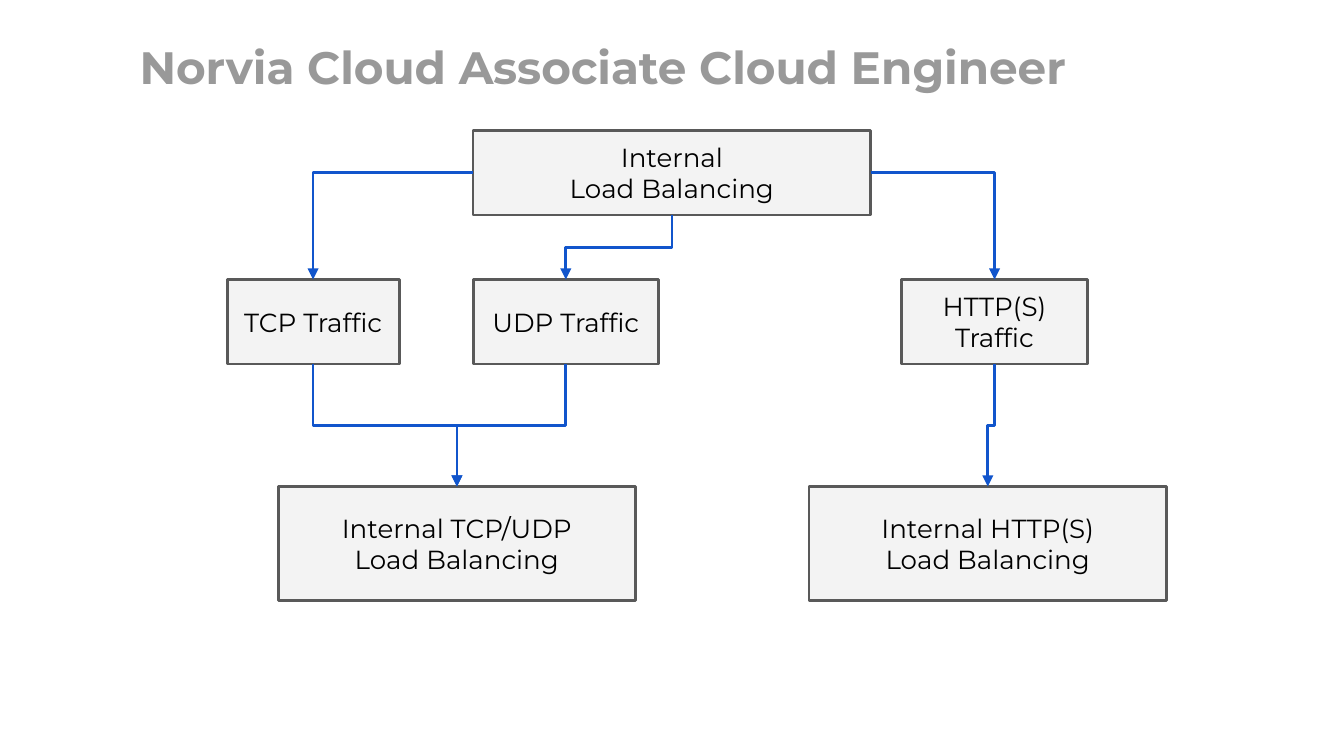
from dataclasses import dataclass

from lxml.etree import SubElement
from pptx import Presentation
from pptx.dml.color import RGBColor
from pptx.enum.shapes import MSO_CONNECTOR, MSO_SHAPE
from pptx.enum.text import MSO_ANCHOR, PP_ALIGN
from pptx.oxml.ns import qn
from pptx.util import Inches, Pt


@dataclass(frozen=True)
class Theme:
    font: str = "Montserrat"
    title_size: Pt = Pt(24.3)
    box_size: Pt = Pt(14)
    line_width: Pt = Pt(1.5)
    title: RGBColor = RGBColor(0x99, 0x99, 0x99)
    text: RGBColor = RGBColor(0, 0, 0)
    box_fill: RGBColor = RGBColor(0xF3, 0xF3, 0xF3)
    box_line: RGBColor = RGBColor(0x59, 0x59, 0x59)
    arrow: RGBColor = RGBColor(0x11, 0x55, 0xCC)


THEME = Theme()
TOP, LEFT, BOTTOM, RIGHT = range(4)  # connection sites of a rectangle


def write(shape, lines, size, color, align, anchor, bold=False):
    frame = shape.text_frame
    frame.word_wrap = True
    frame.vertical_anchor = anchor
    frame.margin_left = frame.margin_right = Inches(0.1)
    frame.margin_top = frame.margin_bottom = Inches(0.1)
    frame.text = lines
    for paragraph in frame.paragraphs:
        paragraph.alignment = align
        paragraph.font.name = THEME.font
        paragraph.font.size = size
        paragraph.font.bold = bold
        paragraph.font.color.rgb = color


def add_arrow(source, site, target):
    """Run an elbow arrow from a site of source to the top centre of target."""
    arrow = slide.shapes.add_connector(MSO_CONNECTOR.ELBOW, 0, 0, 0, 0)
    arrow.begin_connect(source, site)
    arrow.end_connect(target, TOP)
    start_x, start_y = arrow.begin_x, arrow.begin_y
    end_x, end_y = arrow.end_x, arrow.end_y
    across, down = abs(end_x - start_x), end_y - start_y

    properties = arrow._element.spPr
    transform = properties.find(qn("a:xfrm"))
    if site == BOTTOM:
        # Going down first means a sideways elbow turned about its centre.
        width, height = down, across
        rotation, flip = (90, False) if end_x < start_x else (270, True)
    else:
        width, height = across, down
        rotation, flip = 0, end_x < start_x
        properties.find(qn("a:prstGeom")).set("prst", "bentConnector2")
    arrow.left = (start_x + end_x - width) // 2
    arrow.top = (start_y + end_y - height) // 2
    arrow.width, arrow.height = width, height
    transform.set("rot", str(rotation * 60000))
    transform.set("flipH", str(int(flip)))
    transform.set("flipV", "0")

    arrow.line.color.rgb = THEME.arrow
    arrow.line.width = THEME.line_width
    SubElement(properties.find(qn("a:ln")), qn("a:tailEnd"), type="triangle")
    SubElement(properties, qn("a:effectLst"))


presentation = Presentation()
presentation.slide_width = Inches(10)
presentation.slide_height = Inches(10) * 9 // 16
slide = presentation.slides.add_slide(presentation.slide_layouts[6])

title = slide.shapes.add_textbox(Inches(0.94), Inches(0.17), Inches(8.52), Inches(0.63))
write(title, "Norvia Cloud Associate Cloud Engineer", THEME.title_size, THEME.title,
      PP_ALIGN.LEFT, MSO_ANCHOR.BOTTOM, bold=True)

# Each row: top, height, then its boxes as key, left, width, wording.
rows = [
    (0.97, 0.63, [("root", 3.52, 2.96, "Internal\nLoad Balancing")]),
    (2.08, 0.63, [("tcp", 1.69, 1.28, "TCP Traffic"),
                  ("udp", 3.52, 1.38, "UDP Traffic"),
                  ("http", 6.71, 1.38, "HTTP(S) Traffic")]),
    (3.62, 0.85, [("tcp_udp_balancer", 2.07, 2.66, "Internal TCP/UDP\nLoad Balancing"),
                  ("http_balancer", 6.02, 2.66, "Internal HTTP(S)\nLoad Balancing")]),
]
boxes = {}
for top, height, entries in rows:
    for key, left, width, wording in entries:
        box = slide.shapes.add_shape(MSO_SHAPE.RECTANGLE, Inches(left), Inches(top),
                                     Inches(width), Inches(height))
        box.shadow.inherit = False
        box.fill.solid()
        box.fill.fore_color.rgb = THEME.box_fill
        box.line.color.rgb = THEME.box_line
        box.line.width = THEME.line_width
        write(box, wording, THEME.box_size, THEME.text, PP_ALIGN.CENTER, MSO_ANCHOR.MIDDLE)
        boxes[key] = box

for source, site, target in [
    ("root", LEFT, "tcp"),
    ("root", BOTTOM, "udp"),
    ("root", RIGHT, "http"),
    ("udp", BOTTOM, "tcp_udp_balancer"),
    ("tcp", BOTTOM, "tcp_udp_balancer"),
    ("http", BOTTOM, "http_balancer"),
]:
    add_arrow(boxes[source], site, boxes[target])

presentation.save("out.pptx")
